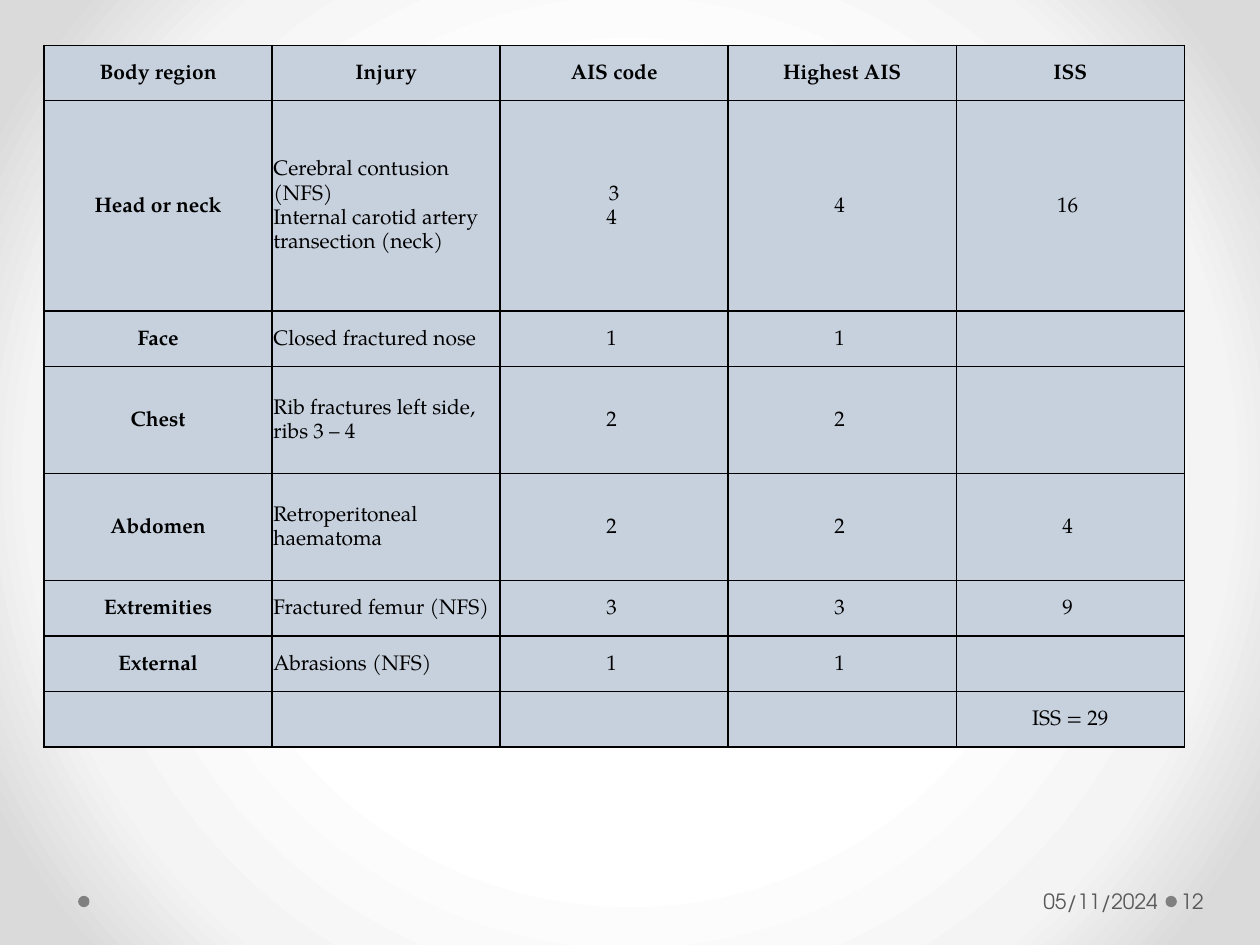
import pptx
import pptx.dml.color
import pptx.enum.shapes
import pptx.enum.text
import pptx.oxml
import pptx.util
from pptx.util import Inches, Pt

ALIGN = pptx.enum.text.PP_ALIGN
MIDDLE = pptx.enum.text.MSO_ANCHOR.MIDDLE
NAMESPACE = 'xmlns:a="http://schemas.openxmlformats.org/drawingml/2006/main"'

COLORS = {"cell": "C7D1DE", "ink": "000000", "footer": "595959", "dot": "808080"}
BACKDROP_STOPS = [(50, "FFFFFF"), (76, "F4F4F4"), (92, "DADADA")]

INJURY_ROWS = [
    (0.44, ["Body region", "Injury", "AIS code", "Highest AIS", "ISS"]),
    (1.67, ["Head or neck",
            "Cerebral contusion (NFS)\vInternal carotid artery transection (neck)",
            "3\v4 ", "4 ", "16 "]),
    (0.44, ["Face", "Closed fractured nose", "1 ", "1 ", ""]),
    (0.85, ["Chest", "Rib fractures left side, ribs 3 – 4", "2 ", "2 ", ""]),
    (0.85, ["Abdomen", "Retroperitoneal haematoma", "2 ", "2 ", "4 "]),
    (0.44, ["Extremities", "Fractured femur (NFS)", "3 ", "3 ", "9 "]),
    (0.44, ["External", "Abrasions (NFS)", "1 ", "1 ", ""]),
    (0.44, ["", "", "", "", "ISS = 29"]),
]
COLUMN_WIDTH = 1.81
TABLE_LEFT, TABLE_TOP = 0.35, 0.36

FOOTERS = [
    ("05/11/2024", 6.96, 2.28, 0.1, ALIGN.RIGHT),
    ("12", 9.34, 0.61, 0.03, ALIGN.LEFT),
]
DOT_LEFTS = [9.25, 0.62]
DOT_TOP, DOT_SIZE = 7.11, 0.09

CELL_FORMAT = {"vertical_anchor": MIDDLE, "margin_left": Inches(0.01), "margin_right": Inches(0.01),
               "margin_top": Inches(0.01), "margin_bottom": Inches(0.01)}
FOOTER_FORMAT = {"word_wrap": True, "vertical_anchor": MIDDLE, "margin_right": Inches(0.05),
                 "margin_top": Inches(0.05), "margin_bottom": Inches(0.05)}
TABLE_FONT = {"name": "TeX Gyre Pagella", "size": Pt(12)}
FOOTER_FONT = {"name": "TeX Gyre Adventor", "size": Pt(12), "bold": False}


def rgb(name):
    return pptx.dml.color.RGBColor.from_string(COLORS[name])


def apply(target, values):
    for attribute, value in values.items():
        setattr(target, attribute, value)


def write(frame, text, align, font, color):
    paragraph = frame.paragraphs[0]
    paragraph.text = text
    paragraph.alignment = align
    for run in paragraph.runs:
        apply(run.font, font)
        run.font.color.rgb = rgb(color)
    return paragraph


def paint_background(slide):
    slide.background.fill.solid()
    properties = slide.background._cSld.bg.bgPr
    stops = "".join(f'<a:gs pos="{position * 1000}"><a:srgbClr val="{color}"/></a:gs>'
                    for position, color in BACKDROP_STOPS)
    gradient = pptx.oxml.parse_xml(
        f'<a:gradFill {NAMESPACE} rotWithShape="1"><a:gsLst>{stops}</a:gsLst><a:path path="circle">'
        '<a:fillToRect l="50000" t="50000" r="50000" b="50000"/></a:path></a:gradFill>')
    properties.replace(properties[0], gradient)


def add_borders(cell):
    for side in "LRTB":
        cell._tc.get_or_add_tcPr().append(pptx.oxml.parse_xml(
            f'<a:ln{side} {NAMESPACE} w="{Pt(1)}"><a:solidFill><a:srgbClr val="{COLORS["ink"]}"/>'
            f'</a:solidFill></a:ln{side}>'))


def add_dots(slide):
    for left in DOT_LEFTS:
        dot = slide.shapes.add_shape(pptx.enum.shapes.MSO_SHAPE.OVAL, Inches(left), Inches(DOT_TOP),
                                     Inches(DOT_SIZE), Inches(DOT_SIZE))
        dot.shadow.inherit = False
        dot.fill.solid()
        dot.fill.fore_color.rgb = rgb("dot")
        dot.line.fill.background()


def add_injury_table(slide):
    column_count = len(INJURY_ROWS[0][1])
    total_height = sum(height for height, _ in INJURY_ROWS)
    table = slide.shapes.add_table(len(INJURY_ROWS), column_count, Inches(TABLE_LEFT), Inches(TABLE_TOP),
                                   Inches(COLUMN_WIDTH * column_count), Inches(total_height)).table
    apply(table, {"first_row": False, "horz_banding": False})
    for column in table.columns:
        column.width = Inches(COLUMN_WIDTH)
    for row_index, (height, texts) in enumerate(INJURY_ROWS):
        table.rows[row_index].height = Inches(height)
        for column_index, text in enumerate(texts):
            cell = table.cell(row_index, column_index)
            apply(cell, CELL_FORMAT)
            add_borders(cell)
            cell.fill.solid()
            cell.fill.fore_color.rgb = rgb("cell")
            is_heading = row_index == 0 or column_index == 0
            align = ALIGN.LEFT if column_index == 1 and not is_heading else ALIGN.CENTER
            paragraph = write(cell.text_frame, text, align, {**TABLE_FONT, "bold": is_heading}, "ink")
            paragraph.line_spacing = 1.15


def add_footers(slide):
    for text, left, width, margin_left, align in FOOTERS:
        footer = slide.shapes.add_textbox(Inches(left), Inches(6.95), Inches(width), Inches(0.4))
        apply(footer.text_frame, {**FOOTER_FORMAT, "margin_left": Inches(margin_left)})
        write(footer.text_frame, text, align, FOOTER_FONT, "footer")


def main():
    deck = pptx.Presentation()
    apply(deck, {"slide_width": Inches(10), "slide_height": Inches(7.5)})
    slide = deck.slides.add_slide(deck.slide_layouts[6])
    paint_background(slide)
    add_dots(slide)
    add_injury_table(slide)
    add_footers(slide)
    deck.save("out.pptx")


if __name__ == "__main__":
    main()
